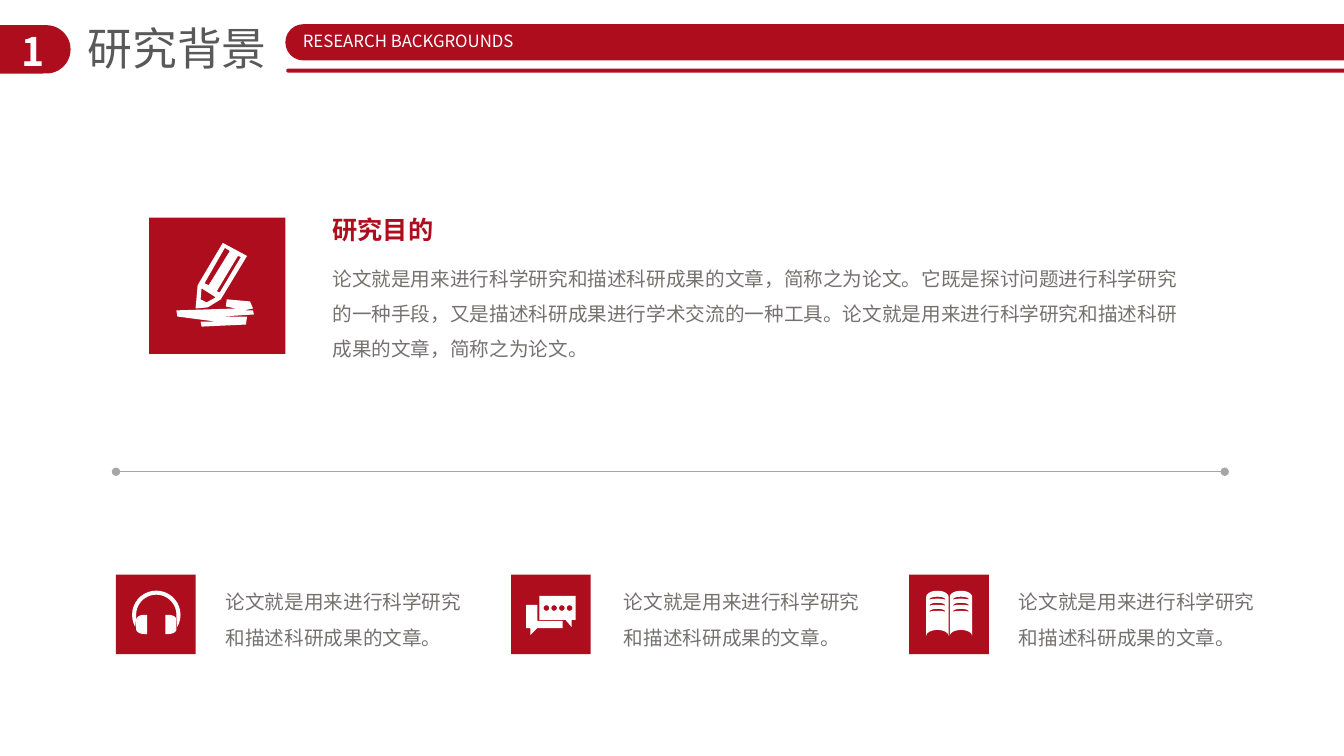
from math import cos, radians, sin

from lxml import etree
from pptx import Presentation
from pptx import util as u
from pptx.dml.color import RGBColor
from pptx.enum import shapes, text
from pptx.oxml.ns import qn

RED, WHITE, TITLE, BODY, RULE = "AE0D1D", "FFFFFF", "595959", "767171", "A6A6A6"


def rgb(value):
    return RGBColor.from_string(value)


def arc(cx, cy, rx, ry, start, end, steps=24):
    angles = [radians(start + (end - start) * i / steps) for i in range(steps + 1)]
    return [(cx + rx * cos(a), cy + ry * sin(a)) for a in angles]


def moved(contour, dx=0, dy=0):
    return [(x + dx, y + dy) for x, y in contour]


class Deck:
    font = "Noto Sans CJK SC"

    def __init__(self):
        self.prs = Presentation()
        self.prs.slide_width, self.prs.slide_height = u.Inches(13.333), u.Inches(7.5)
        self.s = self.prs.slides.add_slide(self.prs.slide_layouts[6])

    def x(self, share):
        return round(self.prs.slide_width * share / 100)

    def y(self, share):
        return round(self.prs.slide_height * share / 100)

    def paint(self, sp, color):
        sp.shadow.inherit = False
        sp.fill.solid()
        sp.fill.fore_color.rgb = rgb(color)
        sp.line.fill.background()

    def pill(self, left, top, width, height):
        sp = self.s.shapes.add_shape(shapes.MSO_SHAPE.ROUNDED_RECTANGLE, self.x(left),
                                     self.y(top), self.x(width), self.y(height))
        sp.adjustments[0] = 0.5
        self.paint(sp, RED)

    def text(self, left, top, width, height, words, size, color,
             bold=False, center=False, wrap=True, spacing=None):
        tf = self.s.shapes.add_textbox(self.x(left), self.y(top),
                                       self.x(width), self.y(height)).text_frame
        tf.word_wrap = wrap
        tf.auto_size = text.MSO_AUTO_SIZE.SHAPE_TO_FIT_TEXT
        p = tf.paragraphs[0]
        p.text = words
        p.alignment = text.PP_ALIGN.CENTER if center else text.PP_ALIGN.LEFT
        p.line_spacing = spacing
        p.font.size, p.font.bold, p.font.name = u.Pt(size), bold, self.font
        p.font.color.rgb = rgb(color)
        props = p._p.pPr.find(qn("a:defRPr"))
        etree.SubElement(props, qn("a:ea")).set("typeface", self.font)

    def rule(self, left, right, top):
        c = self.s.shapes.add_connector(shapes.MSO_CONNECTOR.STRAIGHT, self.x(left),
                                        self.y(top), self.x(right), self.y(top))
        c.line.color.rgb = rgb(RULE)
        c.line.width = u.Pt(0.5)
        ln = c.line._get_or_add_ln()
        for end in ("a:headEnd", "a:tailEnd"):
            etree.SubElement(ln, qn(end)).set("type", "oval")
        etree.SubElement(c._element.spPr, qn("a:effectLst"))

    def tile(self, left, top, side, icon):
        x0, y0, size = self.x(left), self.y(top), self.x(side)
        self.paint(self.s.shapes.add_shape(shapes.MSO_SHAPE.RECTANGLE, x0, y0, size, size), RED)
        for outline in icon:
            builder = None
            for contour in outline:
                pts = [(x0 + size * px / 100, y0 + size * py / 100) for px, py in contour]
                if builder is None:
                    builder = self.s.shapes.build_freeform(*pts[0])
                else:
                    builder.move_to(*pts[0])
                builder.add_line_segments(pts[1:], close=True)
            self.paint(builder.convert_to_shape(), WHITE)


def pencil():
    body = [(54.1, 18.5), (71.9, 28.1), (52.6, 60), (43, 65.9), (34.1, 66.7), (35.6, 49.6)]
    scribble = [(71.1, 78.5), (71.9, 72.6), (53.3, 72.6), (77, 71.1), (76.3, 68.1),
                (69.6, 68.1), (76.3, 66.7), (74.1, 61.5), (57, 60), (56.3, 65.2),
                (63.7, 66.7), (20, 68.1), (20.7, 72.6), (48.9, 76.3), (37.8, 76.3), (38.5, 80)]
    tip = [(42.2, 62.2), (48.9, 58.5), (38.5, 51.9), (37.8, 60)]
    right_groove = [(65.2, 28.1), (49.6, 54.1), (51.9, 54.8), (67.4, 28.9)]
    left_groove = [(55.6, 22.2), (40.7, 48.1), (43.7, 49.6), (59.3, 24.4)]
    return [[body, scribble, tip, right_groove, left_groove]]


def headphones():
    mid = 50.6
    band = arc(mid, mid, 30.4, 30.4, 150, 390) + arc(mid, mid, 25.3, 25.3, 365, 175)
    cup = ([(39.2, 50.6), (39.2, 74.7)] + arc(35.4, 68.4, 10.1, 6.3, 90, 180)
           + arc(35.4, 56.9, 10.1, 6.3, 180, 270))
    return [[band], [cup], [[(2 * mid - x, y) for x, y in cup]]]


def chat():
    back = [(24.1, 75.9), (32.9, 67.1), (64.6, 67.1), (64.6, 58.2), (32.9, 58.2),
            (32.9, 38), (19, 38), (19, 67.1), (24.1, 67.1)]
    front = [(68.4, 57), (75.9, 65.8), (75.9, 57), (81, 57), (81, 26.6), (35.4, 26.6), (35.4, 57)]
    dots = [arc(44.3 + 9.7 * i, 42, 3.5, 3.5, 0, 360) for i in range(4)]
    return [[back], [front, *dots]]


def book():
    page = arc(35.4, 28, 14, 7.7, 180, 360) + arc(35.4, 77, 14, 7.5, 360, 180)
    line = arc(35.4, 31, 9.8, 3.2, 180, 360) + arc(35.4, 31.8, 9.8, 1.5, 360, 180)
    left = [page] + [moved(line, dy=7.6 * i) for i in range(3)]
    return [left, [moved(contour, dx=29.6) for contour in left]]


def main():
    d = Deck()
    d.pill(-2.1, 3.33, 7.35, 6.4)
    d.text(0.53, 2.93, 3.83, 7.6, "1", 28, WHITE, bold=True, center=True)
    d.text(5.78, 2.13, 15, 8.53, "研究背景", 32, TITLE, wrap=False)
    d.pill(21.23, 3.2, 82.73, 4.8)
    d.pill(21.3, 9.07, 82.73, 0.53)
    d.text(21.38, 3.47, 18, 4, "RESEARCH BACKGROUNDS", 12, WHITE, center=True, wrap=False)

    d.tile(11.1, 28.8, 10.13, pencil())
    d.text(24, 27.73, 9.08, 5.33, "研究目的", 18, RED, bold=True, wrap=False)
    d.text(24, 33.07, 64.88, 14.93,
           "论文就是用来进行科学研究和描述科研成果的文章，简称之为论文。"
           "它既是探讨问题进行科学研究的一种手段，又是描述科研成果进行学术交流的一种工具。"
           "论文就是用来进行科学研究和描述科研成果的文章，简称之为论文。",
           14, BODY, spacing=1.5)
    d.rule(8.63, 91.13, 62.4)

    columns = [(8.63, 16.05, 20.33, headphones), (38.03, 45.68, 19.28, chat),
               (67.65, 75.08, 19.65, book)]
    for tile_left, text_left, width, icon in columns:
        d.tile(tile_left, 76, 5.93, icon())
        d.text(text_left, 75.87, width, 10.8, "论文就是用来进行科学研究和描述科研成果的文章。",
               14, BODY, spacing=1.5)
    d.prs.save("out.pptx")


if __name__ == "__main__":
    main()
